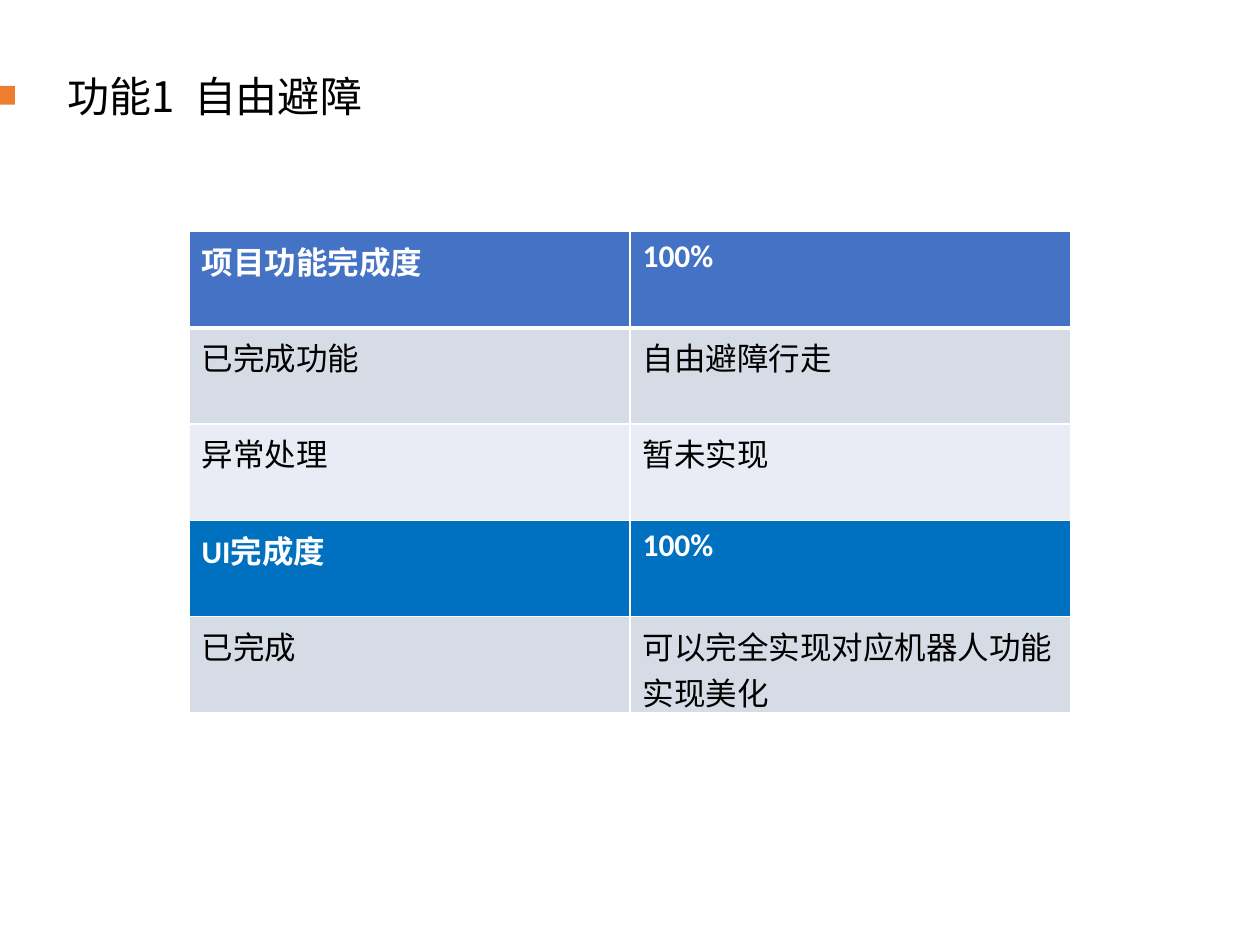
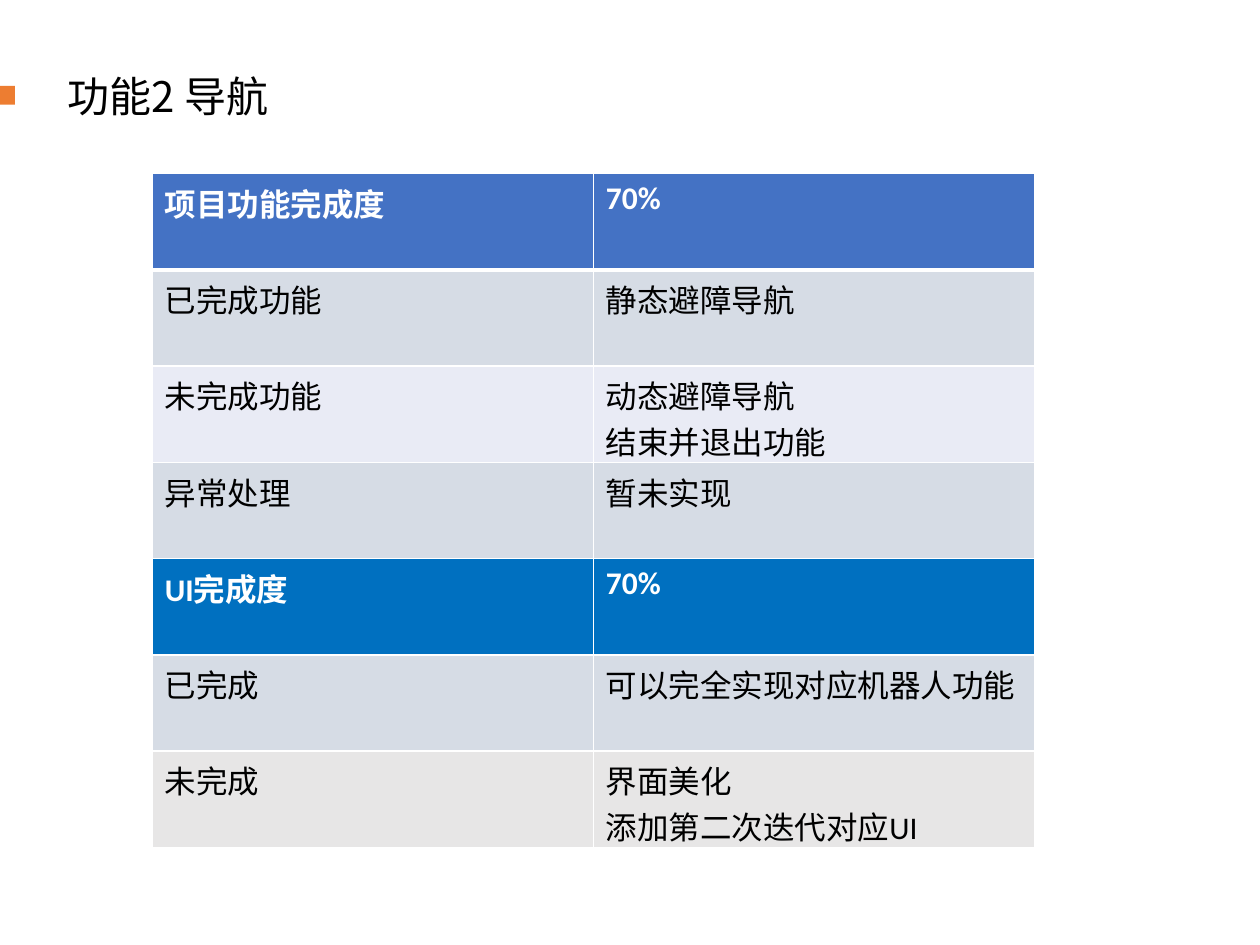
from lxml import etree
from pptx import Presentation
from pptx.dml.color import RGBColor
from pptx.enum.shapes import MSO_SHAPE
from pptx.enum.text import MSO_AUTO_SIZE
from pptx.oxml.ns import qn
from pptx.util import Cm, Pt

RECTANGLE = MSO_SHAPE.RECTANGLE
GROW = MSO_AUTO_SIZE.SHAPE_TO_FIT_TEXT

# Content: each row is (style, label, value)
PAGES = [
    {
        "title": "功能1  自由避障", "title_width": 6.58, "table_at": (3.81, 4.67),
        "rows": [
            ("header", "项目功能完成度", "100%"),
            ("dark", "已完成功能", "自由避障行走"),
            ("light", "异常处理", "暂未实现"),
            ("section", "UI完成度", "100%"),
            ("dark", "已完成", "可以完全实现对应机器人功能\n实现美化"),
        ],
    },
    {
        "title": "功能2 导航", "title_width": 7.19, "table_at": (3.07, 3.5),
        "rows": [
            ("header", "项目功能完成度", "70%"),
            ("dark", "已完成功能", "静态避障导航"),
            ("light", "未完成功能", "动态避障导航\n结束并退出功能"),
            ("dark", "异常处理", "暂未实现"),
            ("section", "UI完成度", "70%"),
            ("dark", "已完成", "可以完全实现对应机器人功能"),
            ("grey", "未完成", "界面美化\n添加第二次迭代对应UI"),
        ],
    },
]

# Shared look
COLORS = {
    "accent": "ED7D31", "black": "000000", "white": "FFFFFF",
    "header": "4472C4", "section": "0070C0",
    "dark": "D6DCE5", "light": "E9EBF5", "grey": "E7E6E6",
}
HEADING_STYLES = ("header", "section")
CJK_FONT = "Noto Sans CJK SC"
TABLE_FONT = "Calibri"
COLUMN_WIDTH = 8.89
ROW_HEIGHT = 1.94
THIN, THICK = 1, 3


def color(name):
    return RGBColor.from_string(COLORS[name])


def format_text(text_frame, font_name, size, color_name, bold=False):
    for para in text_frame.paragraphs:
        for span in para.runs:
            span.font.name = font_name
            span.font.size = Pt(size)
            span.font.bold = bold
            span.font.color.rgb = color(color_name)
            latin = span.font._element.find(qn("a:latin"))
            east_asian = etree.Element(qn("a:ea"), typeface=CJK_FONT)
            latin.addnext(east_asian)


def set_borders(cell, top, bottom):
    properties = cell._tc.get_or_add_tcPr()
    sides = [("lnL", THIN), ("lnR", THIN), ("lnT", top), ("lnB", bottom)]
    for position, (side, width) in enumerate(sides):
        line = etree.Element(qn(f"a:{side}"), w=str(Pt(width)))
        fill = etree.SubElement(line, qn("a:solidFill"))
        etree.SubElement(fill, qn("a:srgbClr"), val=COLORS["white"])
        properties.insert(position, line)


def add_title(page, title, width):
    marker = page.shapes.add_shape(RECTANGLE, Cm(0), Cm(1.73), Cm(0.3), Cm(0.38))
    marker.shadow.inherit = False
    marker.fill.solid()
    marker.fill.fore_color.rgb = color("accent")
    marker.line.fill.background()

    box = page.shapes.add_textbox(Cm(1.12), Cm(1.3), Cm(width), Cm(1.27))
    box.text_frame.text = title
    box.text_frame.word_wrap = True
    box.text_frame.auto_size = GROW
    format_text(box.text_frame, CJK_FONT, 24, "black")


def add_status_table(page, rows, left, top):
    frame = page.shapes.add_table(len(rows), 2, Cm(left), Cm(top),
                                  Cm(2 * COLUMN_WIDTH), Cm(ROW_HEIGHT * len(rows)))
    table = frame.table
    for column in table.columns:
        column.width = Cm(COLUMN_WIDTH)
    for index, (style, *texts) in enumerate(rows):
        table.rows[index].height = Cm(ROW_HEIGHT)
        heading = style in HEADING_STYLES
        for cell, text in zip(table.rows[index].cells, texts):
            cell.text_frame.text = text
            format_text(cell.text_frame, TABLE_FONT, 18,
                        "white" if heading else "black", heading)
            cell.fill.solid()
            cell.fill.fore_color.rgb = color(style)
            # The rule under the header row is heavier
            set_borders(cell, top=THICK if index == 1 else THIN,
                        bottom=THICK if index == 0 else THIN)


def main():
    deck = Presentation()
    deck.slide_width, deck.slide_height = Cm(25.4), Cm(19.05)
    blank = deck.slide_layouts[6]
    for content in PAGES:
        page = deck.slides.add_slide(blank)
        add_title(page, content["title"], content["title_width"])
        add_status_table(page, content["rows"], *content["table_at"])
    deck.save("out.pptx")


if __name__ == "__main__":
    main()
